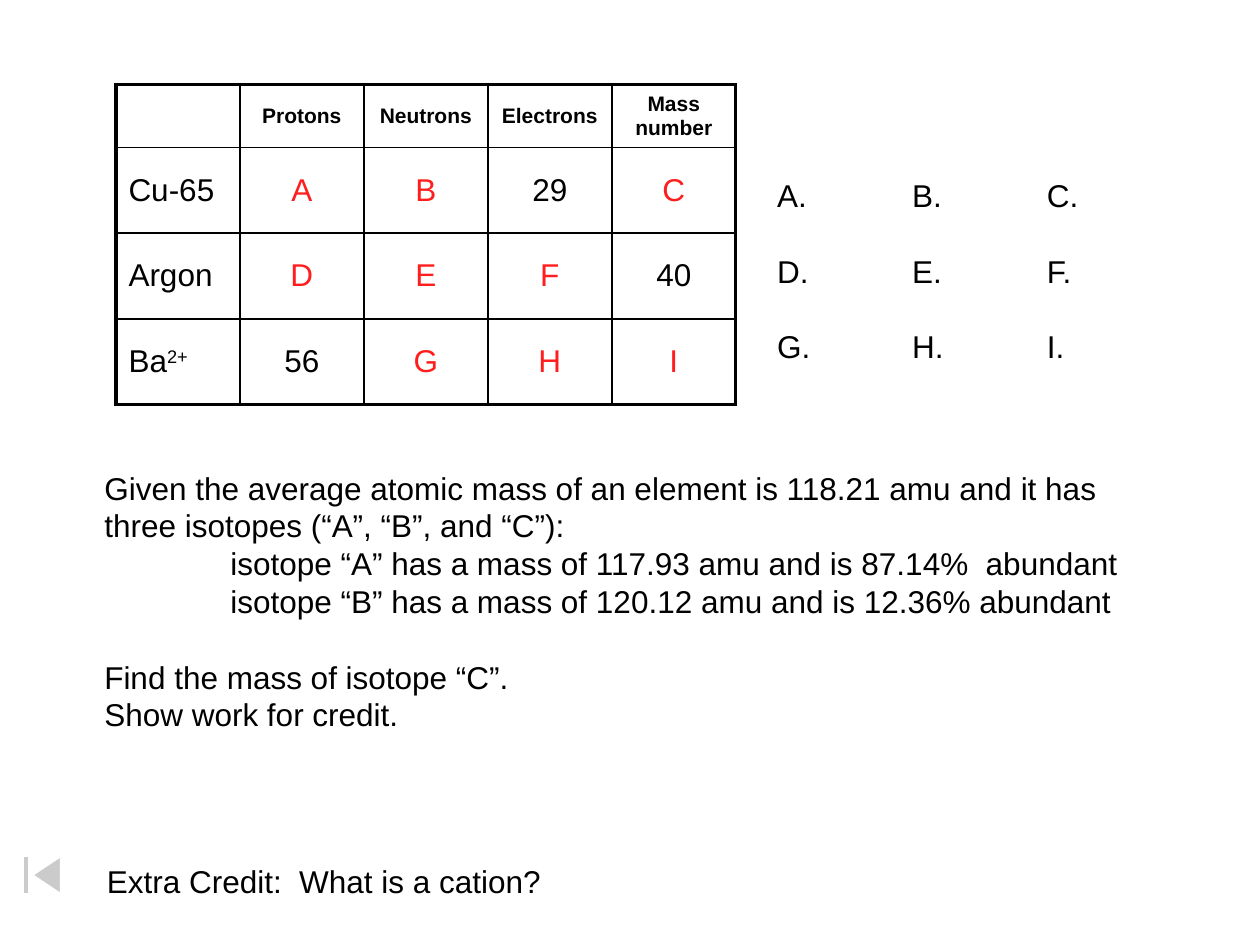
"""Build a chemistry quiz slide with an isotope table and written questions."""
from lxml import etree
from pptx import Presentation, util as u
from pptx.dml import color
from pptx.enum import shapes, text
from pptx.oxml import ns

COLORS = {"ink": "000000", "blank": "FF1D1D", "white": "FFFFFF"}
FONT = "Arial"
ROWS = [
    ["", "Protons", "Neutrons", "Electrons", "Mass number"],
    ["Cu-65", "A", "B", "29", "C"],
    ["Argon", "D", "E", "F", "40"],
    ["Ba2+", "56", "G", "H", "I"],
]
ANSWERS = ["A.\tB.\tC.", "D.\tE.\tF.", "G.\tH.\tI."]
QUESTION = [
    "Given the average atomic mass of an element is 118.21 amu and it has",
    "three isotopes (“A”, “B”, and “C”):",
    "isotope “A” has a mass of 117.93 amu and is 87.14%  abundant",
    "isotope “B” has a mass of 120.12 amu and is 12.36% abundant",
    "Find the mass of isotope “C”.",
    "Show work for credit.",
]


def rgb(name):
    return color.RGBColor.from_string(COLORS[name])


def add_child(parent, tag, **attributes):
    values = {key: str(value) for key, value in attributes.items()}
    return etree.SubElement(parent, ns.qn(tag), values)


def format_runs(para, size=18, ink="ink", bold=False):
    for span in para.runs:
        span.font.name = FONT
        span.font.size = u.Pt(size)
        span.font.bold = bold
        span.font.color.rgb = rgb(ink)


def set_borders(cell, widths):
    properties = cell._tc.get_or_add_tcPr()
    for side, width in zip("LRTB", widths):
        line = add_child(properties, f"a:ln{side}", w=u.Pt(width))
        fill = add_child(line, "a:solidFill")
        add_child(fill, "a:srgbClr", val=COLORS["ink"])


def fill_cell(cell, words, row, column):
    para = cell.text_frame.paragraphs[0]
    if words.endswith("2+"):
        para.add_run().text = words[:-2]
        charge = para.add_run()
        charge.text = "2+"
        charge._r.get_or_add_rPr().set("baseline", "30000")
    else:
        para.text = words
    is_blank = len(words) == 1
    format_runs(para, 18 if row else 12, "blank" if is_blank else "ink", row == 0)
    para.alignment = text.PP_ALIGN.CENTER if column else text.PP_ALIGN.LEFT
    cell.vertical_anchor = text.MSO_ANCHOR.MIDDLE


def add_isotope_table(page):
    last_row, last_column = len(ROWS) - 1, len(ROWS[0]) - 1
    frame = page.shapes.add_table(
        len(ROWS), len(ROWS[0]),
        u.Inches(0.92), u.Inches(0.67), u.Inches(4.92), u.Inches(2.53))
    table = frame.table
    table.first_row = table.horz_banding = False
    for row, words in enumerate(ROWS):
        table.rows[row].height = u.Inches(0.68 if row else 0.5)
        for column, word in enumerate(words):
            cell = table.cell(row, column)
            edges = (column == 0, column == last_column, row == 0, row == last_row)
            set_borders(cell, [2.25 if edge else 1 for edge in edges])
            cell.fill.background()
            fill_cell(cell, word, row, column)


def add_text(page, left, top, width, height, lines):
    box = page.shapes.add_textbox(*map(u.Inches, (left, top, width, height)))
    frame = box.text_frame
    frame.word_wrap = True
    frame.text = "\n".join(lines)
    for para in frame.paragraphs:
        format_runs(para)
    return frame.paragraphs


def add_answers(page):
    for index, para in enumerate(add_text(page, 6.07, 1.35, 2.59, 1.9, ANSWERS)):
        tabs = add_child(para._p.get_or_add_pPr(), "a:tabLst")
        for stop in (1.07, 2.14):
            add_child(tabs, "a:tab", pos=u.Inches(stop), algn="l")
        if index:
            para.space_before = u.Pt(21.6)


def add_question(page):
    paras = add_text(page, 0.73, 3.67, 8.26, 2.5, QUESTION)
    for para in paras[2:4]:
        para._p.get_or_add_pPr().set("marL", str(u.Inches(1)))
    paras[4].space_before = u.Pt(21.6)


def add_back_button(page):
    button = page.shapes.add_shape(
        shapes.MSO_SHAPE.ACTION_BUTTON_BEGINNING,
        u.Inches(0), u.Inches(6.75), u.Inches(0.67), u.Inches(0.39))
    button.shadow.inherit = False
    button.fill.solid()
    button.fill.fore_color.rgb = rgb("white")
    fill = button._element.spPr.find(ns.qn("a:solidFill"))
    add_child(fill[0], "a:alpha", val=50000)
    button.line.color.rgb = rgb("white")
    button.line.width = u.Pt(0.75)


def main():
    deck = Presentation()
    deck.slide_width, deck.slide_height = u.Inches(10), u.Inches(7.5)
    page = deck.slides.add_slide(deck.slide_layouts[6])
    add_isotope_table(page)
    add_answers(page)
    add_question(page)
    add_text(page, 0.75, 6.79, 3.75, 0.4, ["Extra Credit:  What is a cation?"])
    add_back_button(page)
    deck.save("out.pptx")


if __name__ == "__main__":
    main()
